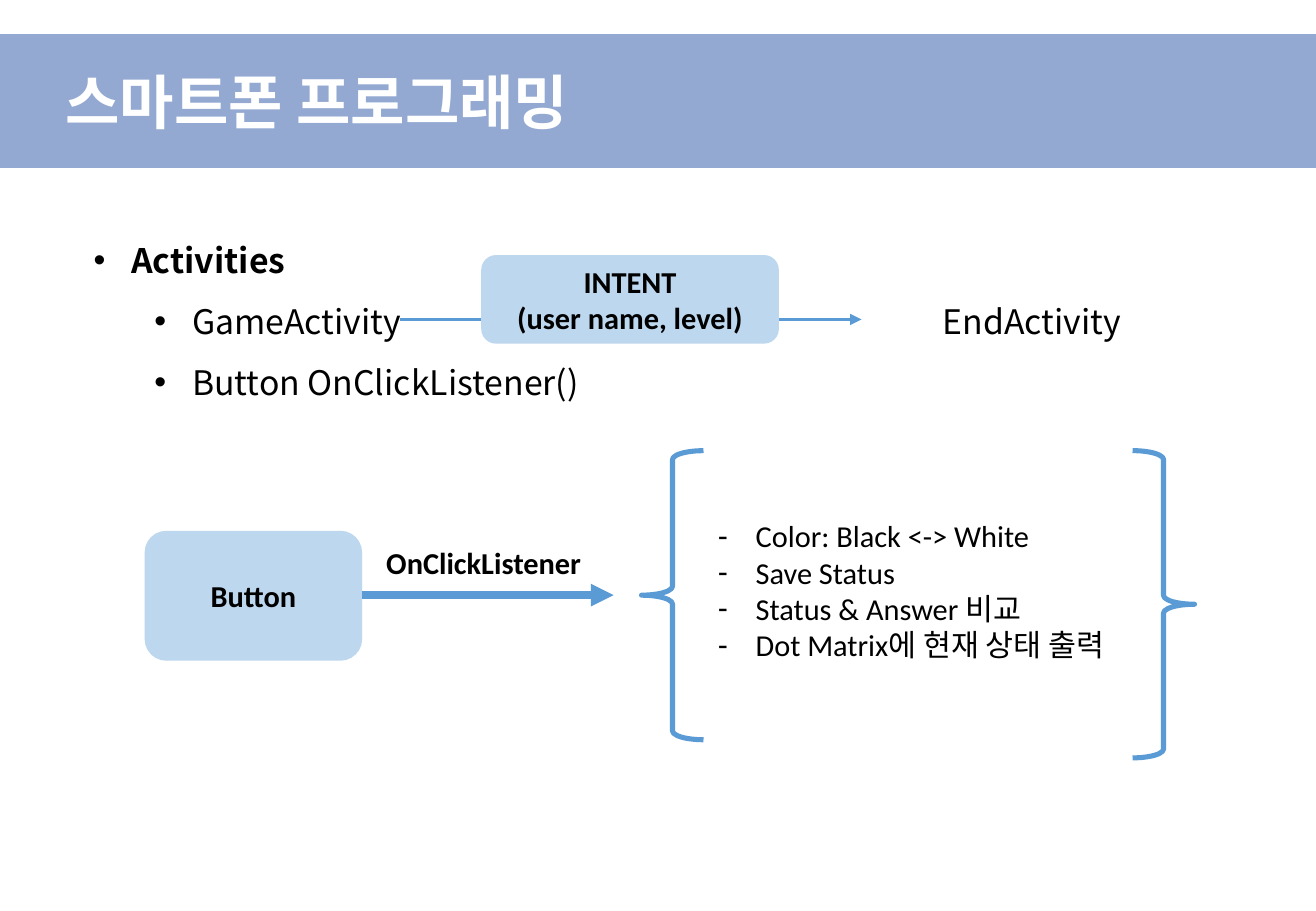
import pptx
import pptx.dml.color
import pptx.enum.shapes
import pptx.enum.text
import pptx.oxml
import pptx.oxml.ns
import pptx.util

WIDE, HIGH = 10.83, 7.5
NOTO, PLAIN = "Noto Sans CJK KR", "Calibri"
BLUE, PALE, BAND = "5B9BD5", "BDD7EE", "93A9D2"
KINDS = pptx.enum.shapes.MSO_SHAPE
ALIGN = pptx.enum.text.PP_ALIGN
ANCHOR = pptx.enum.text.MSO_ANCHOR
BIG = {"name": NOTO, "size": 20}
BODY = {"name": PLAIN, "size": 18}


def hue(code):
    """Turn a hex string into a colour."""
    return pptx.dml.color.RGBColor.from_string(code)


def grid(*parts):
    """Turn percent shares, alternating across and down, into lengths."""
    return [pptx.util.Inches(part * side / 100)
            for part, side in zip(parts, (WIDE, HIGH) * 2)]


def add_tag(parent, name, **values):
    """Append an empty drawing element with attributes."""
    tag = pptx.oxml.parse_xml(f'<a:{name} {pptx.oxml.ns.nsdecls("a")}/>')
    for key, value in values.items():
        tag.set(key, value)
    parent.append(tag)


def write(line, text, look, bold=False, code="000000"):
    """Add one run in the given look."""
    run = line.add_run()
    run.text = text
    style = {"name": look["name"], "size": pptx.util.Pt(look["size"]), "bold": bold}
    for key, value in style.items():
        setattr(run.font, key, value)
    run.font.color.rgb = hue(code)
    add_tag(run.font._element, "ea", typeface=NOTO)


def fill_text(shape, lines, look, align=ALIGN.LEFT, anchor=ANCHOR.TOP,
              space=1.0, mark=None, code="000000"):
    """Fill a shape with lines of text, level and weight."""
    frame = shape.text_frame
    style = {"word_wrap": True, "vertical_anchor": anchor,
             "auto_size": pptx.enum.text.MSO_AUTO_SIZE.NONE}
    for key, value in style.items():
        setattr(frame, key, value)
    for spot, (text, level, bold) in enumerate(lines):
        line = frame.add_paragraph() if spot else frame.paragraphs[0]
        style = {"level": level, "alignment": align, "line_spacing": space,
                 "space_before": pptx.util.Pt(0)}
        for key, value in style.items():
            setattr(line, key, value)
        if mark:
            props = line._p.get_or_add_pPr()
            props.set("marL", str(pptx.util.Inches(0.31 + 0.5 * level)))
            props.set("indent", str(pptx.util.Inches(-0.31)))
            add_tag(props, "buFont", typeface="Arial")
            add_tag(props, "buChar", char=mark)
        write(line, text, look, bold, code)


def add_box(slide, kind, place, tint):
    """Add a filled shape without outline."""
    box = slide.shapes.add_shape(kind, *grid(*place))
    box.shadow.inherit = False
    box.fill.solid()
    box.fill.fore_color.rgb = hue(tint)
    box.line.fill.background()
    return box


def add_node(slide, place, lines):
    """Add a pale rounded box with bold centred text."""
    node = add_box(slide, KINDS.ROUNDED_RECTANGLE, place, PALE)
    fill_text(node, [(line, 0, True) for line in lines], BODY,
              ALIGN.CENTER, ANCHOR.MIDDLE)


def add_brace(slide, kind, place):
    """Add an outlined brace."""
    brace = slide.shapes.add_shape(kind, *grid(*place))
    brace.shadow.inherit = False
    brace.fill.background()
    brace.line.color.rgb = hue(BLUE)
    brace.line.width = pptx.util.Pt(3)
    brace.adjustments[0] = 0.143


def add_arrow(slide, start, end, row, width):
    """Add a level arrow pointing right."""
    link = slide.shapes.add_connector(
        pptx.enum.shapes.MSO_CONNECTOR.STRAIGHT, *grid(start, row, end, row))
    link.line.color.rgb = hue(BLUE)
    link.line.width = pptx.util.Pt(width)
    add_tag(link.line._get_or_add_ln(), "tailEnd", type="triangle")
    add_tag(link._element.spPr, "effectLst")


def add_note(slide, place, lines, look, **style):
    """Add a text box."""
    fill_text(slide.shapes.add_textbox(*grid(*place)), lines, look, **style)


def move(shape, place):
    """Place a shape on the grid."""
    for key, value in zip(("left", "top", "width", "height"), grid(*place)):
        setattr(shape, key, value)


def main():
    """Build the slide and save it."""
    deck = pptx.Presentation()
    deck.slide_width, deck.slide_height = grid(100, 100)
    slide = deck.slides.add_slide(deck.slide_layouts[1])
    title, body = slide.placeholders

    band = add_box(slide, KINDS.FLOWCHART_PROCESS, (0, 3.73, 100, 14.67), BAND)
    title._element.addprevious(band._element)
    move(title, (4.06, 6.53, 60.2, 9.2))
    fill_text(title, [("스마트폰 프로그래밍", 0, True)],
              {"name": NOTO, "size": 35}, code="FFFFFF")
    move(body, (6.19, 23.47, 84.95, 20.67))
    fill_text(body, [("Activities", 0, True), ("GameActivity", 1, False),
                     ("Button OnClickListener()", 1, False)],
              BIG, space=1.5, mark="•")
    add_note(slide, (70.73, 30.1, 18, 8), [("EndActivity", 0, False)], BIG, space=1.5)

    add_arrow(slide, 30.38, 65.47, 35.07, 2.25)
    add_node(slide, (36.57, 28, 22.62, 9.73), ["INTENT", "(user name, level)"])
    add_node(slide, (10.99, 58.27, 16.53, 14.27), ["Button"])
    steps = ["Color: Black <-> White", "Save Status",
             "Status & Answer 비교", "Dot Matrix에 현재 상태 출력"]
    add_note(slide, (53.65, 56.13, 34, 17.47),
             [(step, 0, False) for step in steps], BODY, mark="-")
    add_brace(slide, KINDS.LEFT_BRACE, (48.75, 49.47, 4.71, 31.73))
    add_brace(slide, KINDS.RIGHT_BRACE, (86.06, 49.47, 4.71, 33.73))
    add_arrow(slide, 27.52, 46.63, 65.33, 4.5)
    add_note(slide, (28.44, 59.07, 18, 5.33), [("OnClickListener", 0, True)], BODY)
    deck.save("out.pptx")


if __name__ == "__main__":
    main()
